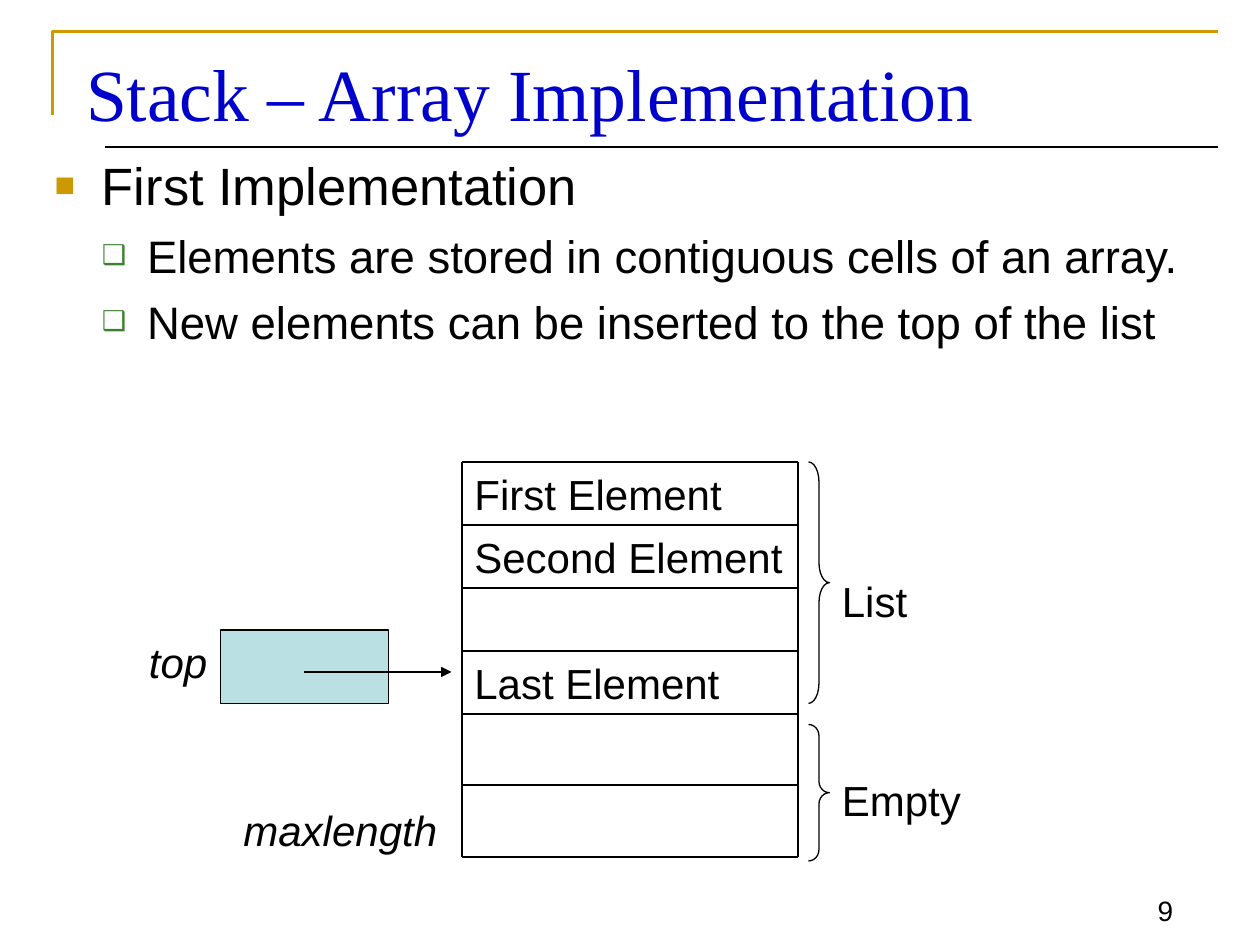
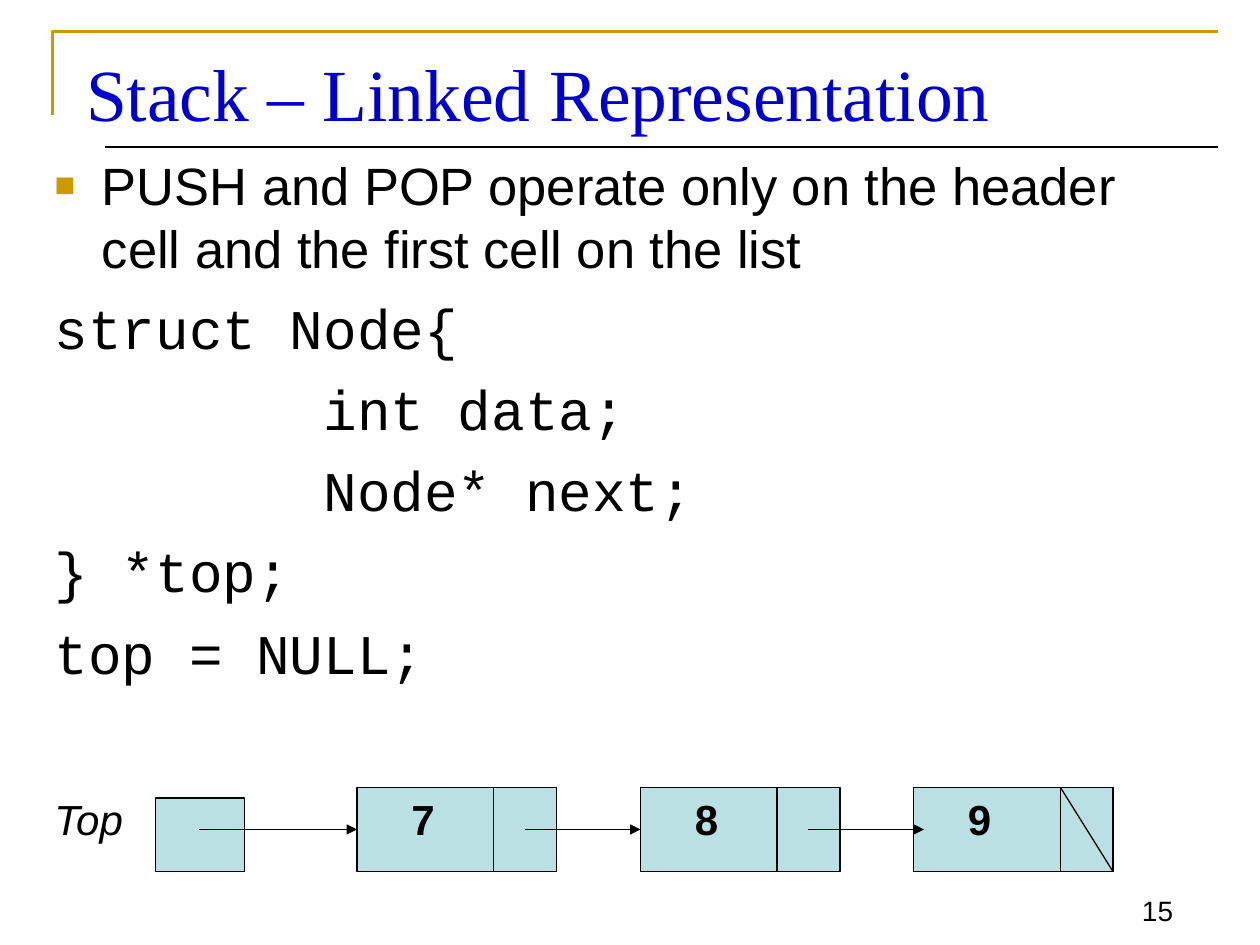
"""Build two slides on stacks: the array version and the linked version."""
from itertools import pairwise

from lxml import etree
from pptx import Presentation
from pptx.dml.color import RGBColor
from pptx.enum.shapes import MSO_CONNECTOR, MSO_SHAPE
from pptx.enum.text import MSO_ANCHOR, MSO_AUTO_SIZE, PP_ALIGN
from pptx.oxml.ns import qn
from pptx.util import Pt

PX = 7620
STRAIGHT = MSO_CONNECTOR.STRAIGHT
RECTANGLE, RIGHT_BRACE = MSO_SHAPE.RECTANGLE, MSO_SHAPE.RIGHT_BRACE
TOP, BOTTOM = MSO_ANCHOR.TOP, MSO_ANCHOR.BOTTOM
LEFT, RIGHT = PP_ALIGN.LEFT, PP_ALIGN.RIGHT
NO_AUTOFIT = MSO_AUTO_SIZE.NONE
LEFT_SIDE = 1

BLACK = RGBColor(0x00, 0x00, 0x00)
BLUE = RGBColor(0x00, 0x00, 0xCC)
GOLD = RGBColor(0xCC, 0x99, 0x00)
GREEN = RGBColor(0x3B, 0x81, 0x2F)
PALE_TEAL = RGBColor(0xBB, 0xE0, 0xE3)

SANS, SERIF, MONO = "Arial", "Times New Roman", "Courier New"

# style: level, size, font, left margin, first-line indent, bullet
BODY_STYLES = {
    "point": (0, 30, SANS, 45, -45, ("■", GOLD, 65)),
    "detail": (1, 26, SANS, 88, -43, ("❑", GREEN, 60)),
    "code": (0, 32, MONO, 0, 0, None),
    "member": (0, 32, MONO, 256, 0, None),
}


def px(*lengths):
    """Turn px lengths into EMU."""
    return [length * PX for length in lengths]


def add_span(para, text, size, font=SANS, color=BLACK, bold=False, italic=False):
    """Add one formatted run to a paragraph."""
    span = para.add_run()
    span.text = text
    span.font.size = Pt(size)
    span.font.name = font
    span.font.color.rgb = color
    span.font.bold = bold
    span.font.italic = italic


def add_label(page, text, left, top, width, height=60, size=24,
              align=LEFT, anchor=TOP, bold=False, italic=False):
    """Add a wrapped text box with one line of text."""
    box = page.shapes.add_textbox(*px(left, top, width, height))
    box.text_frame.word_wrap = True
    box.text_frame.vertical_anchor = anchor
    para = box.text_frame.paragraphs[0]
    para.alignment = align
    add_span(para, text, size, bold=bold, italic=italic)


def add_line(page, start, end, weight=0.75, arrow=False, target=None):
    """Add a black line, with an optional arrowhead and target box."""
    line = page.shapes.add_connector(STRAIGHT, *px(*start, *end))
    line.line.color.rgb = BLACK
    line.line.width = Pt(weight)
    properties = line._element.spPr
    if arrow:
        etree.SubElement(properties.find(qn("a:ln")), qn("a:tailEnd"), type="triangle")
    etree.SubElement(properties, qn("a:effectLst"))
    if target is not None:
        line.end_connect(target, LEFT_SIDE)


def add_outlined(page, kind, left, top, width, height, fill=None):
    """Add a thinly outlined preset shape."""
    shape = page.shapes.add_shape(kind, *px(left, top, width, height))
    shape.shadow.inherit = False
    if fill is None:
        shape.fill.background()
    else:
        shape.fill.solid()
        shape.fill.fore_color.rgb = fill
    shape.line.color.rgb = BLACK
    shape.line.width = Pt(0.75)
    return shape


def add_brace(page, top, height, curve, text, text_top):
    """Add a right brace with its caption."""
    brace = add_outlined(page, RIGHT_BRACE, 770, top, 20, height)
    brace.adjustments[0] = curve
    add_label(page, text, 790, text_top, 140)


def add_node(page, left, value, divider):
    """Add a list node: a data cell and a link cell."""
    node = add_outlined(page, RECTANGLE, left, 750, 190, 80, PALE_TEAL)
    add_line(page, (divider, 750), (divider, 830))
    add_label(page, value, left + 40, 750, 60, bold=True)
    return node


def set_bullet(para, bullet):
    """Give a paragraph a coloured bullet, or none."""
    properties = para._p.get_or_add_pPr()
    if bullet is None:
        etree.SubElement(properties, qn("a:buNone"))
        return
    mark, color, percent = bullet
    tint = etree.SubElement(properties, qn("a:buClr"))
    etree.SubElement(tint, qn("a:srgbClr"), val=str(color))
    etree.SubElement(properties, qn("a:buSzPct"), val=str(percent * 1000))
    etree.SubElement(properties, qn("a:buFont"), typeface=SANS)
    etree.SubElement(properties, qn("a:buChar"), char=mark)


def place(holder, left, top, width, height):
    """Move a placeholder and return its text frame, top anchored."""
    holder.left, holder.top, holder.width, holder.height = px(left, top, width, height)
    frame = holder.text_frame
    frame.auto_size = NO_AUTOFIT
    frame.vertical_anchor = TOP
    return frame


def fill_body(page, height, items):
    """Write the styled items into the body placeholder."""
    frame = place(page.placeholders[1], 40, 140, 1120, height)
    for index, (style, text) in enumerate(items):
        level, size, font, margin, indent, bullet = BODY_STYLES[style]
        para = frame.add_paragraph() if index else frame.paragraphs[0]
        para.level = level
        para.space_before = Pt(size / 4)
        properties = para._p.get_or_add_pPr()
        properties.set("marL", str(margin * PX))
        properties.set("indent", str(indent * PX))
        set_bullet(para, bullet)
        add_span(para, text, size, font)


def add_page(deck, title, number):
    """Add a slide with the shared frame, title and number."""
    page = deck.slides.add_slide(deck.slide_layouts[1])
    builder = page.shapes.build_freeform(*px(50, 110), scale=1.0)
    builder.add_line_segments([px(50, 30), px(1160, 30)], close=False)
    corner = builder.convert_to_shape()
    corner.shadow.inherit = False
    corner.fill.background()
    corner.line.color.rgb = GOLD
    corner.line.width = Pt(1.5)
    add_line(page, (100, 140), (1160, 140))
    add_label(page, number, 1050, 830, 79, 59, 16, RIGHT, BOTTOM)
    para = place(page.shapes.title, 70, 40, 1090, 90).paragraphs[0]
    para.alignment = LEFT
    add_span(para, title, 42, SERIF, BLUE)
    return page


def draw_array(page):
    """Draw the array cells, their braces and the top index."""
    left, right = 440, 760
    edges = [440, 500, 560, 620, 680, 748, 816]
    cells = ["First Element", "Second Element", "", "Last Element", "", ""]
    for (top, bottom), text in zip(pairwise(edges), cells):
        if text:
            add_label(page, text, left, top, right - left, bottom - top)
    for edge in edges:
        add_line(page, (left, edge), (right, edge), 1)
    for side in (left, right):
        add_line(page, (side, edges[0]), (side, edges[-1]), 1)
    add_brace(page, 440, 230, 0.96, "List", 542)
    add_brace(page, 690, 130, 0.54, "Empty", 732)
    add_label(page, "maxlength", 220, 760, 230, italic=True)
    add_outlined(page, RECTANGLE, 210, 600, 160, 70, PALE_TEAL)
    add_line(page, (290, 640), (430, 640), arrow=True)
    add_label(page, "top", 130, 600, 80, italic=True)


def draw_linked_list(page):
    """Draw the header cell and the three linked nodes."""
    first = add_node(page, 340, "7", 470)
    second = add_node(page, 610, "8", 740)
    add_node(page, 870, "9", 1010)
    add_line(page, (1010, 750), (1060, 830))
    add_outlined(page, RECTANGLE, 148, 760, 85, 70, PALE_TEAL)
    add_label(page, "Top", 40, 750, 107, italic=True)
    for start, end, target in ((190, 340, first), (500, 610, second), (770, 880, None)):
        add_line(page, (start, 790), (end, 790), arrow=True, target=target)


def main():
    """Build and save the deck."""
    deck = Presentation()
    deck.slide_width, deck.slide_height = px(1200, 900)

    page = add_page(deck, "Stack – Array Implementation", "9")
    fill_body(page, 200, [
        ("point", "First Implementation"),
        ("detail", "Elements are stored in contiguous cells of an array."),
        ("detail", "New elements can be inserted to the top of the list"),
    ])
    draw_array(page)

    page = add_page(deck, "Stack – Linked Representation", "15")
    fill_body(page, 520, [
        ("point", "PUSH and POP operate only on the header cell and the first cell on the list"),
        ("code", "struct Node{"),
        ("member", "int data;"),
        ("member", "Node* next;"),
        ("code", "} *top;"),
        ("code", "top = NULL;"),
    ])
    draw_linked_list(page)

    deck.save("out.pptx")


if __name__ == "__main__":
    main()
